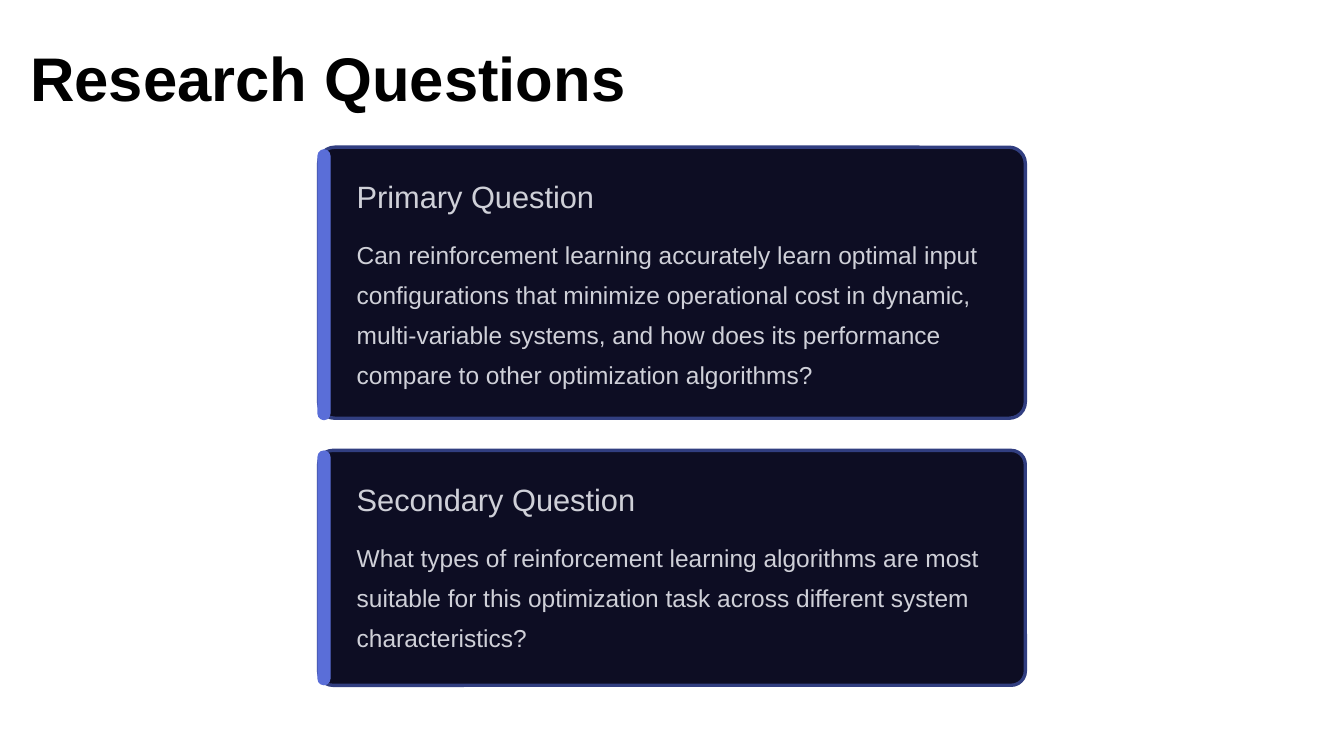
from lxml import etree
from pptx import Presentation
from pptx.dml.color import RGBColor
from pptx.enum.shapes import MSO_SHAPE
from pptx.enum.text import MSO_ANCHOR, MSO_AUTO_SIZE, PP_ALIGN
from pptx.oxml.ns import qn
from pptx.util import Cm, Pt

ROUNDED = MSO_SHAPE.ROUNDED_RECTANGLE
TOP = MSO_ANCHOR.TOP
LEFT = PP_ALIGN.LEFT
NO_AUTOFIT = MSO_AUTO_SIZE.NONE
TITLE_ONLY = 5

BLACK = RGBColor(0x00, 0x00, 0x00)
NAVY = RGBColor(0x00, 0x00, 0x18)
BORDER = RGBColor(0x31, 0x3E, 0x80)
ACCENT = RGBColor(0x5A, 0x6E, 0xD8)
PALE_GREY = RGBColor(0xCF, 0xD0, 0xD8)

CARD_LEFT, CARD_WIDTH = 8.03, 17.81
BAR_LEFT, BAR_WIDTH = 8.0, 0.33
TEXT_LEFT = 8.99

# Heading, question, card top, card height, accent bar top (cm)
QUESTIONS = [
    ("Primary Question",
     "Can reinforcement learning accurately learn optimal input "
     "configurations that minimize operational cost in dynamic, "
     "multi-variable systems, and how does its performance compare to "
     "other optimization algorithms?",
     3.71, 6.83, 3.76),
    ("Secondary Question",
     "What types of reinforcement learning algorithms are most suitable "
     "for this optimization task across different system characteristics?",
     11.35, 5.92, 11.35),
]


def write_text(box, text, size, spacing, color, bold=False, wrap=False):
    frame = box.text_frame
    frame.margin_left = frame.margin_right = 0
    frame.margin_top = frame.margin_bottom = 0
    frame.auto_size = NO_AUTOFIT
    frame.vertical_anchor = TOP
    frame.word_wrap = wrap
    para = frame.paragraphs[0]
    para.text = text
    para.alignment = LEFT
    para.line_spacing = Pt(spacing)
    font = para.font
    font.name = "Arial"
    font.size = Pt(size)
    font.bold = bold
    font.color.rgb = color


def add_text(slide, left, top, width, height, *args, **options):
    box = slide.shapes.add_textbox(Cm(left), Cm(top), Cm(width), Cm(height))
    write_text(box, *args, **options)


def add_panel(slide, left, top, width, height, color, rounding):
    panel = slide.shapes.add_shape(
        ROUNDED, Cm(left), Cm(top), Cm(width), Cm(height))
    panel.adjustments[0] = rounding
    panel.shadow.inherit = False
    panel.fill.solid()
    panel.fill.fore_color.rgb = color
    panel.line.fill.background()
    return panel


def add_card(slide, top, height):
    card = add_panel(slide, CARD_LEFT, top, CARD_WIDTH, height, NAVY, 0.06)
    card.line.color.rgb = BORDER
    card.line.width = Pt(2.4)
    # Fill opacity of 95 %
    fill_color = card.fill._xPr.find(qn("a:solidFill"))[0]
    etree.SubElement(fill_color, qn("a:alpha")).set("val", "95000")


def add_question(slide, heading, question, top, height, bar_top):
    add_card(slide, top, height)
    add_panel(slide, BAR_LEFT, bar_top, BAR_WIDTH, height, ACCENT, 0.5)
    add_text(slide, TEXT_LEFT, top + 0.72, 7.87, 0.99,
             heading, 22, 27.5, PALE_GREY)
    add_text(slide, TEXT_LEFT, top + 2.08, 16.13, height - 2.85,
             question, 17.5, 28.5, PALE_GREY, wrap=True)


def set_title(slide, text):
    title = slide.shapes.title
    title.left, title.top = Cm(0.76), Cm(0.91)
    title.width, title.height = Cm(15.75), Cm(1.98)
    write_text(title, text, 44, 55.5, BLACK, bold=True)


def main():
    deck = Presentation()
    deck.slide_width, deck.slide_height = Cm(33.87), Cm(19.05)
    page = deck.slides.add_slide(deck.slide_layouts[TITLE_ONLY])

    # Title
    set_title(page, "Research Questions")

    # Question cards
    for question in QUESTIONS:
        add_question(page, *question)

    deck.save("out.pptx")


if __name__ == "__main__":
    main()
